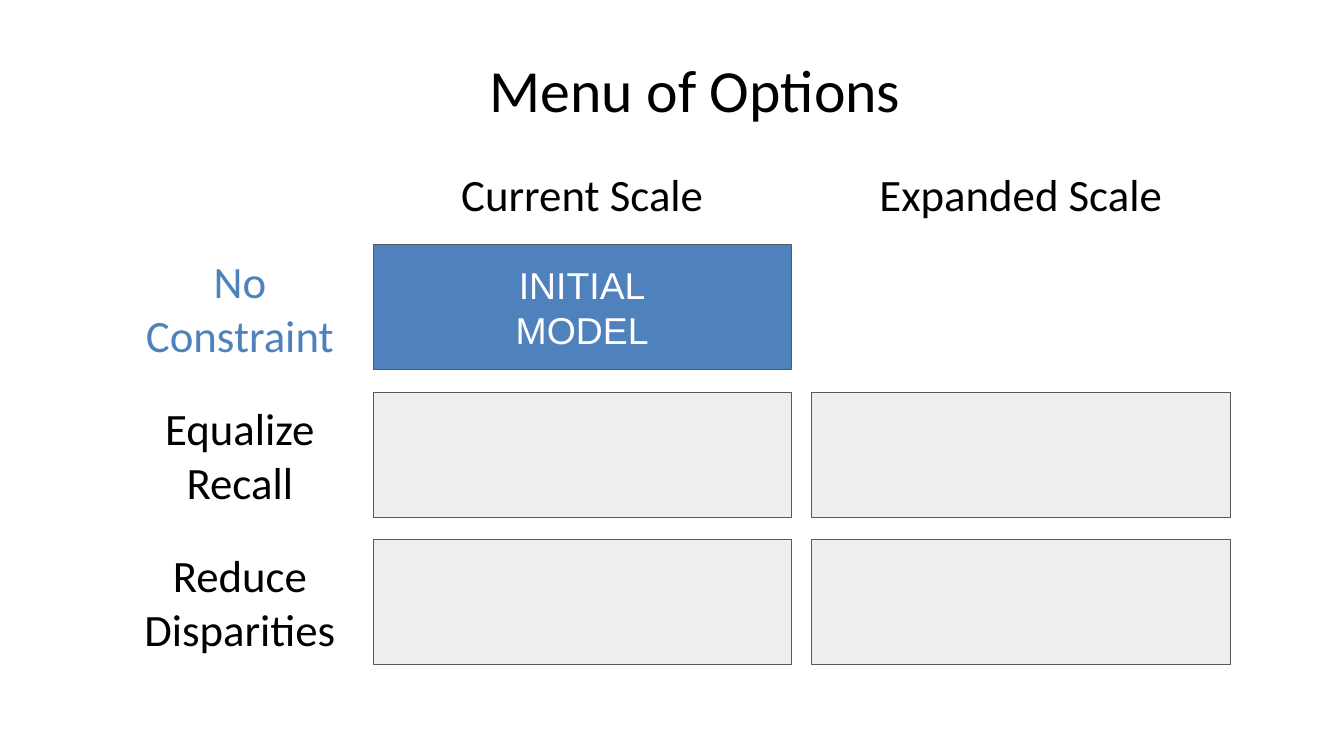
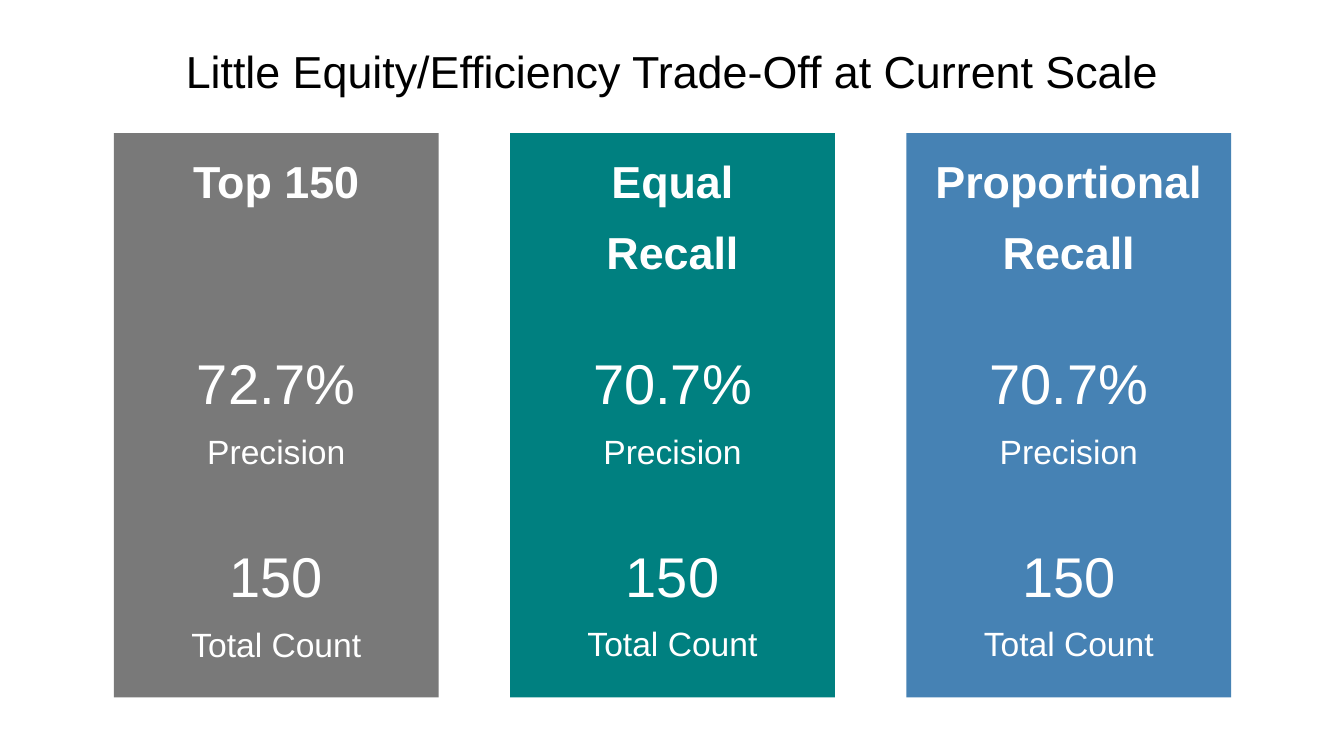
from dataclasses import dataclass
from typing import NamedTuple

from pptx import Presentation
from pptx.dml.color import RGBColor
from pptx.enum.shapes import MSO_SHAPE as Preset
from pptx.enum.text import MSO_ANCHOR as Anchor, PP_ALIGN as Align
from pptx.util import Inches, Pt

BLACK, WHITE = "000000", "FFFFFF"
BLUE, PALE, OUTLINE = "4F81BD", "EEEEEE", "595959"
GRAY, TEAL, STEEL = "797979", "008080", "4682B4"
INSET = 0.13


class Area(NamedTuple):
    left: float
    top: float
    width: float
    height: float


@dataclass(frozen=True)
class Line:
    text: str
    size: float
    color: str = BLACK
    font: str = "Arial"
    bold: bool = False
    before: float = 0
    spacing: float = 1.0


@dataclass(frozen=True)
class Grid:
    left: float
    top: float
    width: float
    height: float
    column_step: float
    row_step: float = 0

    def cell(self, column: int, row: int = 0) -> Area:
        return Area(self.left + column * self.column_step,
                    self.top + row * self.row_step, self.width, self.height)


@dataclass(frozen=True)
class Option:
    label: tuple[str, ...]
    color: str
    cells: tuple[tuple[str, ...], ...]


@dataclass(frozen=True)
class Card:
    heading: tuple[str, ...]
    fill: str
    precision: str
    count: str


MENU = Grid(3.7, 2.43, 4.15, 1.24, 4.35, 1.46)
SCALES = ("Current Scale", "Expanded Scale")
OPTIONS = (
    Option(("No", "Constraint"), BLUE, (("INITIAL", "MODEL"),)),
    Option(("Equalize", "Recall"), BLACK, ((), ())),
    Option(("Reduce", "Disparities"), BLACK, ((), ())),
)

CARDS = Grid(1.13, 1.32, 3.22, 5.6, 3.93)
RESULTS = (
    Card(("Top 150",), GRAY, "72.7%", "150"),
    Card(("Equal", "Recall"), TEAL, "70.7%", "150"),
    Card(("Proportional", "Recall"), STEEL, "70.7%", "150"),
)
CARD_SPACING = 1.14
LINE_GAP, GROUP_GAP, HEADING_STEP = 6.7, 43.5, 50.5


def rgb(color: str) -> RGBColor:
    return RGBColor.from_string(color)


def set_all(target, values: dict) -> None:
    for name, value in values.items():
        setattr(target, name, value)


def write(box, lines: list[Line], anchor: Anchor) -> None:
    frame = box.text_frame
    margins = {f"margin_{side}": Inches(INSET)
               for side in ("left", "top", "right", "bottom")}
    set_all(frame, {"word_wrap": True, "vertical_anchor": anchor, **margins})
    for index, line in enumerate(lines):
        para = frame.add_paragraph() if index else frame.paragraphs[0]
        set_all(para, {"alignment": Align.CENTER, "line_spacing": line.spacing,
                       "space_before": Pt(line.before)})
        span = para.add_run()
        span.text = line.text
        set_all(span.font, {"name": line.font, "size": Pt(line.size),
                            "bold": line.bold})
        span.font.color.rgb = rgb(line.color)


def add_text(page, area: Area, lines: list[Line],
             anchor: Anchor = Anchor.MIDDLE) -> None:
    write(page.shapes.add_textbox(*map(Inches, area)), lines, anchor)


def add_panel(page, area: Area, fill: str, lines: list[Line],
              outline: str = "", anchor: Anchor = Anchor.MIDDLE) -> None:
    box = page.shapes.add_shape(Preset.RECTANGLE, *map(Inches, area))
    box.shadow.inherit = False
    box.fill.solid()
    box.fill.fore_color.rgb = rgb(fill)
    if outline:
        box.line.color.rgb = rgb(outline)
        box.line.width = Pt(0.75)
    else:
        box.line.fill.background()
    if lines:
        write(box, lines, anchor)


def add_page(deck, title: Line, title_area: Area):
    page = deck.slides.add_slide(deck.slide_layouts[6])
    add_text(page, title_area, [title], Anchor.TOP)
    return page


def build_menu(deck) -> None:
    page = add_page(deck, Line("Menu of Options", 42.7, font="Calibri"),
                    Area(0.5, 0.39, 12.79, 1.11))
    for column, scale in enumerate(SCALES):
        left = MENU.cell(column).left + 0.35
        add_text(page, Area(left, 1.63, 3.45, 0.59),
                 [Line(scale, 32, font="Calibri")])
    for row, option in enumerate(OPTIONS):
        label_area = Area(1.06, MENU.cell(0, row).top, 2.64, MENU.height)
        add_text(page, label_area, [Line(word, 32, option.color, "Calibri")
                                    for word in option.label])
        for column, words in enumerate(option.cells):
            add_panel(page, MENU.cell(column, row), BLUE if words else PALE,
                      [Line(word, 26.7, WHITE) for word in words], OUTLINE)


def card_lines(card: Card) -> list[Line]:
    """Reserve two heading lines so that the figures align across cards."""
    def line(text: str, size: float, before: float, bold: bool = False) -> Line:
        return Line(text, size, WHITE, bold=bold, before=before,
                    spacing=CARD_SPACING)

    missing = 2 - len(card.heading)
    return [
        *(line(text, 32, LINE_GAP if index else 0, True)
          for index, text in enumerate(card.heading)),
        line(card.precision, 40, GROUP_GAP + missing * HEADING_STEP),
        line("Precision", 24, LINE_GAP),
        line(card.count, 40, GROUP_GAP),
        line("Total Count", 24, LINE_GAP),
    ]


def build_results(deck) -> None:
    title = Line("Little Equity/Efficiency Trade-Off at Current Scale", 32)
    page = add_page(deck, title, Area(0.67, 0.3, 12, 1.25))
    for column, card in enumerate(RESULTS):
        add_panel(page, CARDS.cell(column), card.fill, card_lines(card),
                  anchor=Anchor.TOP)


def main() -> None:
    deck = Presentation()
    set_all(deck, {"slide_width": Inches(13.33), "slide_height": Inches(7.5)})
    build_menu(deck)
    build_results(deck)
    deck.save("out.pptx")


if __name__ == "__main__":
    main()
